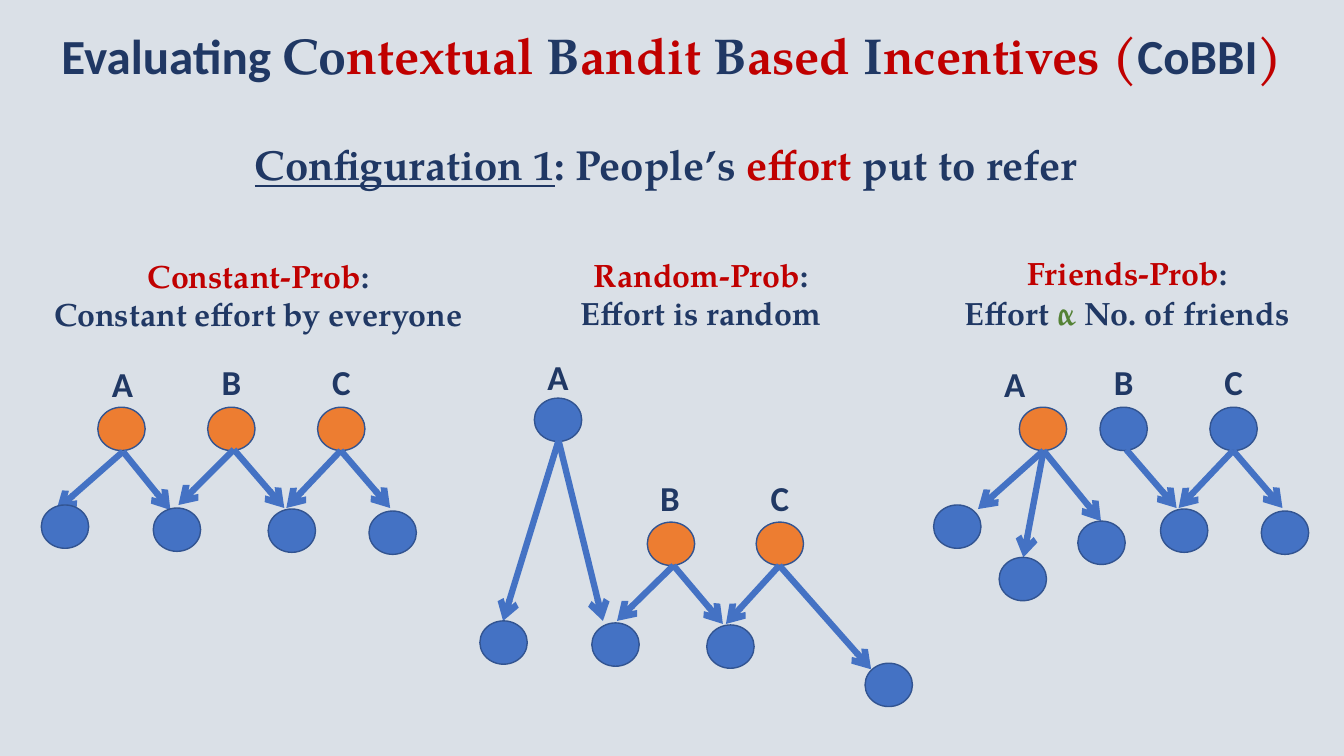
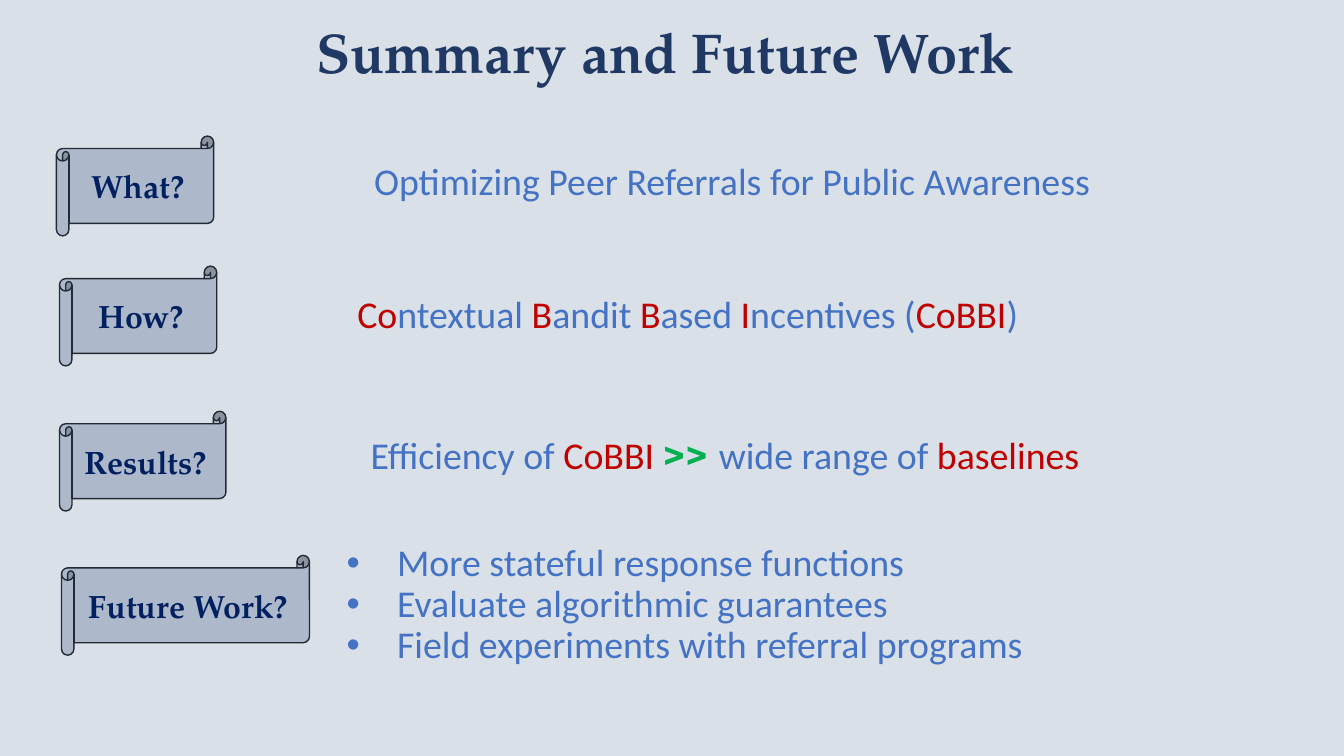
from itertools import cycle

from lxml import etree
from pptx import Presentation
from pptx.dml.color import RGBColor
from pptx.enum.shapes import MSO_CONNECTOR, MSO_SHAPE
from pptx.enum.text import MSO_ANCHOR, PP_ALIGN
from pptx.oxml.ns import qn
from pptx.util import Emu, Pt

STRAIGHT = MSO_CONNECTOR.STRAIGHT
OVAL, SCROLL = MSO_SHAPE.OVAL, MSO_SHAPE.HORIZONTAL_SCROLL
TOP, MIDDLE = MSO_ANCHOR.TOP, MSO_ANCHOR.MIDDLE
LEFT, CENTER = PP_ALIGN.LEFT, PP_ALIGN.CENTER

EMU_PER_PX = 9144  # 100 px to the inch
SLIDE_SIZE = (1333, 750)
NODE_SIZE = (47, 43)
LABEL_SIZE = (63, 43)
SERIF, SANS, ACCENT = "TeX Gyre Pagella", "Calibri", "Montserrat"

COLORS = {
    "background": "DAE0E7",
    "navy": "203864",
    "red": "C00000",
    "blue": "4472C4",
    "orange": "ED7D31",
    "node_line": "325491",
    "alpha": "548235",
    "green": "00B050",
    "scroll": "ADB9CA",
    "scroll_line": "222A35",
    "scroll_text": "002060",
}

ACRONYM_PARTS = ["Co", "ntextual ", "B", "andit ", "B", "ased ", "I", "ncentives (", "CoBBI", ")"]


def px(length):
    return Emu(length * EMU_PER_PX)


def rgb(name):
    return RGBColor.from_string(COLORS[name])


def acronym_runs(key_color, rest_color, short_style):
    """Spell out CoBBI, with the letters of the acronym in key_color."""
    return [
        (part, color, short_style if part == "CoBBI" else {})
        for part, color in zip(ACRONYM_PARTS, cycle([key_color, rest_color]))
    ]


class SlideBuilder:
    """Holds the deck, the current slide and the style they share."""

    def __init__(self):
        self.deck = Presentation()
        self.deck.slide_width, self.deck.slide_height = map(px, SLIDE_SIZE)
        self.slide = None
        self.shapes = None

    def new_slide(self):
        self.slide = self.deck.slides.add_slide(self.deck.slide_layouts[6])
        fill = self.slide.background.fill
        fill.solid()
        fill.fore_color.rgb = rgb("background")
        self.shapes = self.slide.shapes

    def add_paras(self, frame, paras, size, font, bold=True, align=CENTER,
                  spacing=None, before=None, bullet=False):
        """Each paragraph is a list of runs: (text, color, style changes)."""
        for index, runs in enumerate(paras):
            para = frame.paragraphs[0] if index == 0 else frame.add_paragraph()
            para.alignment = align
            if spacing:
                para.line_spacing = spacing
            if before:
                para.space_before = Pt(before)
            if bullet:
                self.add_bullet(para)
            for text, color, changes in runs:
                style = {"size": size, "name": font, "bold": bold, "underline": False, **changes}
                span = para.add_run()
                span.text = text
                span.font.size = Pt(style["size"])
                span.font.name = style["name"]
                span.font.bold = style["bold"]
                span.font.underline = style["underline"]
                span.font.color.rgb = rgb(color)

    def add_bullet(self, para):
        properties = para._p.get_or_add_pPr()
        properties.set("marL", str(px(50)))
        properties.set("indent", str(px(-50)))
        etree.SubElement(properties, qn("a:buFont"), typeface="Arial")
        etree.SubElement(properties, qn("a:buChar"), char="•")

    def text(self, area, paras, size, font, anchor=TOP, wrap=True, **style):
        box = self.shapes.add_textbox(*map(px, area))
        frame = box.text_frame
        frame.word_wrap = wrap
        frame.vertical_anchor = anchor
        self.add_paras(frame, paras, size, font, **style)

    def title(self, area, runs, size):
        self.text(area, [runs], size, SERIF, MIDDLE, spacing=0.9)

    def body(self, area, paras, **style):
        self.text(area, paras, 27, SANS, MIDDLE, bold=False, spacing=0.9, **style)

    def shape(self, kind, area, fill, line):
        shape = self.shapes.add_shape(kind, *map(px, area))
        shape.shadow.inherit = False
        shape.fill.solid()
        shape.fill.fore_color.rgb = rgb(fill)
        shape.line.color.rgb = rgb(line)
        shape.line.width = Pt(1)
        return shape

    def node(self, corner, fill="blue"):
        self.shape(OVAL, (*corner, *NODE_SIZE), fill, "node_line")

    def scroll(self, area, label):
        frame = self.shape(SCROLL, area, "scroll", "scroll_line").text_frame
        frame.word_wrap = False
        frame.vertical_anchor = MIDDLE
        self.add_paras(frame, [[(label, "scroll_text", {})]], 23, SERIF)

    def arrow(self, start, end):
        arrow = self.shapes.add_connector(STRAIGHT, *map(px, (*start, *end)))
        arrow.line.color.rgb = rgb("blue")
        arrow.line.width = Pt(4.5)
        properties = arrow._element.spPr
        etree.SubElement(properties.find(qn("a:ln")), qn("a:tailEnd"), type="arrow")
        etree.SubElement(properties, qn("a:effectLst"))

    def network(self, people, friends):
        """Group the people, their referral arrows and the friends reached."""
        self.shapes = self.slide.shapes.add_group_shape().shapes
        for name, label_corner, corner, fill, foot, tips in people:
            self.text((*label_corner, *LABEL_SIZE), [[(name, "navy", {})]], 25, SANS,
                      spacing=0.7, before=10)
            self.node(corner, fill)
            for tip in tips:
                self.arrow(foot, tip)
        for corner in friends:
            self.node(corner)
        self.shapes = self.slide.shapes


def configuration_slide(builder):
    builder.new_slide()
    sans = {"name": SANS, "size": 35}
    builder.title((9, 13, 1315, 89),
                  [("Evaluating ", "navy", sans)] + acronym_runs("navy", "red", sans), 36)
    builder.text((243, 132, 848, 61), [[
        ("Configuration 1", "navy", {"underline": True}),
        (": People’s", "navy", {}),
        (" effort ", "red", {}),
        ("put to refer", "navy", {}),
    ]], 30, SERIF, align=LEFT)

    models = [
        ((41, 249, 431, 88), "Constant-Prob", [("Constant effort by everyone", "navy", {})]),
        ((554, 248, 283, 88), "Random-Prob", [("Effort is random", "navy", {})]),
        ((917, 246, 402, 89), "Friends-Prob", [
            ("Effort ", "navy", {}),
            ("α ", "alpha", {"size": 24}),
            ("No. of friends", "navy", {}),
        ]),
    ]
    for area, name, rule in models:
        builder.text(area, [[(name, "red", {}), (":", "navy", {})], rule], 23, SERIF, wrap=False)

    # Person: name, label corner, node corner, fill, arrow start, arrow tips
    builder.network([
        ("A", (90, 366), (97, 404), "orange", (122, 448), [(56, 506), (169, 506)]),
        ("B", (198, 364), (206, 404), "orange", (232, 446), [(177, 501), (282, 504)]),
        ("C", (307, 364), (315, 404), "orange", (338, 447), [(284, 504), (387, 504)]),
    ], [(41, 501), (152, 504), (266, 505), (366, 507)])
    builder.network([
        ("A", (522, 359), (530, 395), "blue", (554, 437), [(499, 616), (598, 616)]),
        ("B", (633, 479), (642, 518), "orange", (668, 561), [(612, 616), (717, 619)]),
        ("C", (742, 479), (750, 518), "orange", (773, 561), [(720, 619), (864, 664)]),
    ], [(476, 616), (587, 618), (701, 620), (858, 658)])
    builder.network([
        ("A", (975, 366), (1011, 404), "orange", (1035, 447),
         [(970, 505), (1015, 553), (1092, 517)]),
        ("B", (1083, 364), (1091, 404), "blue", (1117, 446), [(1167, 504)]),
        ("C", (1192, 364), (1200, 404), "blue", (1223, 447), [(1169, 504), (1272, 504)]),
    ], [(926, 501), (991, 553), (1069, 517), (1151, 505), (1251, 507)])


def summary_slide(builder):
    builder.new_slide()
    builder.title((225, 24, 869, 62), [("Summary and Future Work", "navy", {})], 40)

    scrolls = [
        ("What?", 56, 135, 156),
        ("How?", 59, 264, 156),
        ("Results?", 59, 408, 165),
        ("Future Work?", 61, 551, 246),
    ]
    for label, left, top, width in scrolls:
        builder.scroll((left, top, width, 99), label)

    answers = [
        ((277, 147, 898, 69), [("Optimizing Peer Referrals for Public Awareness", "blue", {})]),
        ((233, 279, 898, 69), acronym_runs("red", "blue", {})),
        ((290, 419, 858, 69), [
            ("Efficiency of ", "blue", {}),
            ("CoBBI ", "red", {}),
            (">> ", "green", {"name": ACCENT, "bold": True}),
            ("wide range of ", "blue", {}),
            ("baselines", "red", {}),
        ]),
    ]
    for area, runs in answers:
        builder.body(area, [runs])

    plans = [
        "More stateful response functions",
        "Evaluate algorithmic guarantees",
        "Field experiments with referral programs",
    ]
    builder.body((334, 508, 813, 185), [[(plan, "blue", {})] for plan in plans],
                 align=LEFT, bullet=True)


def main():
    builder = SlideBuilder()
    configuration_slide(builder)
    summary_slide(builder)
    builder.deck.save("out.pptx")


if __name__ == "__main__":
    main()
